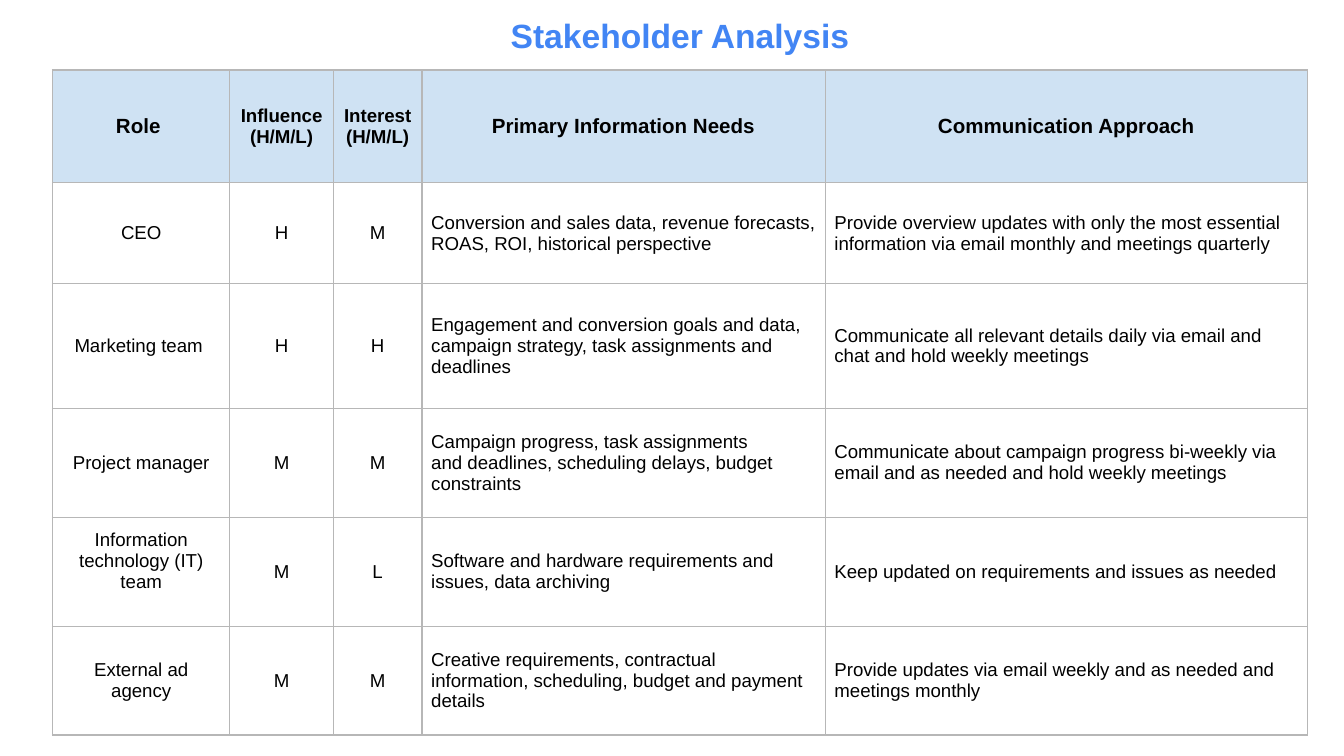
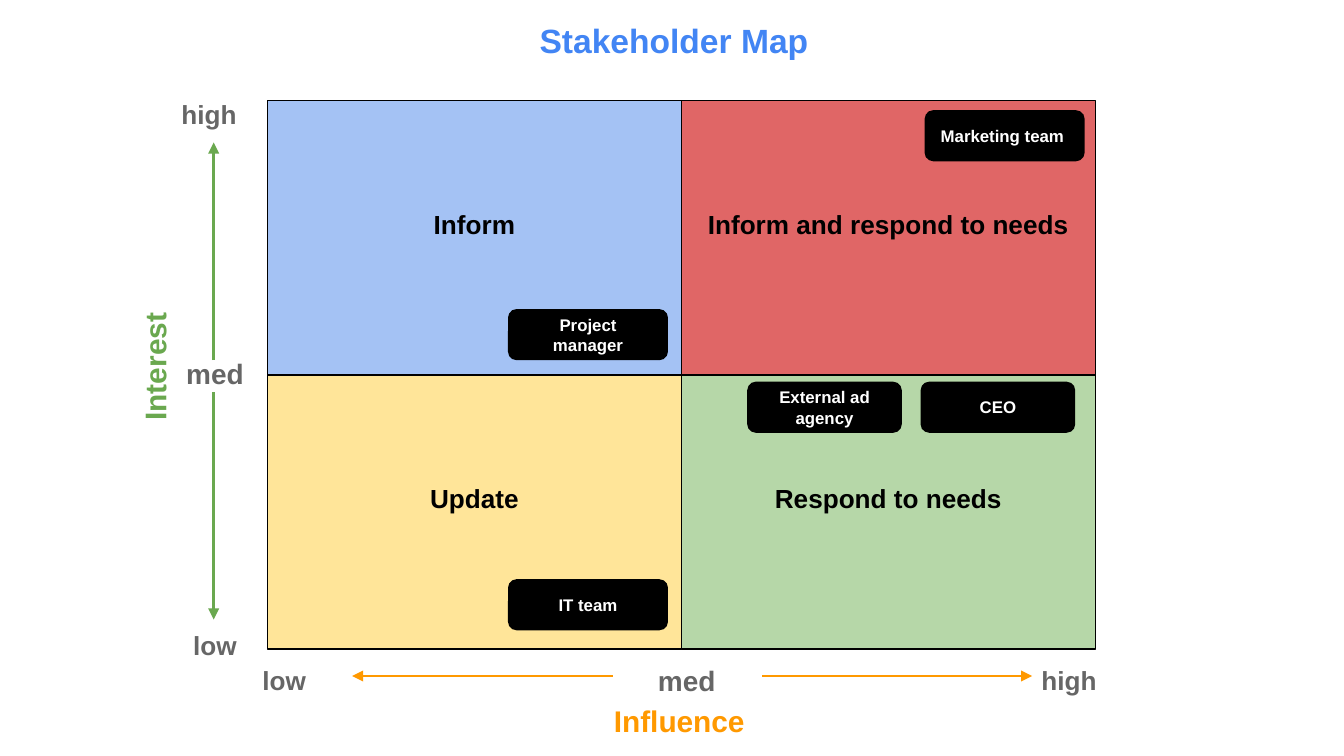
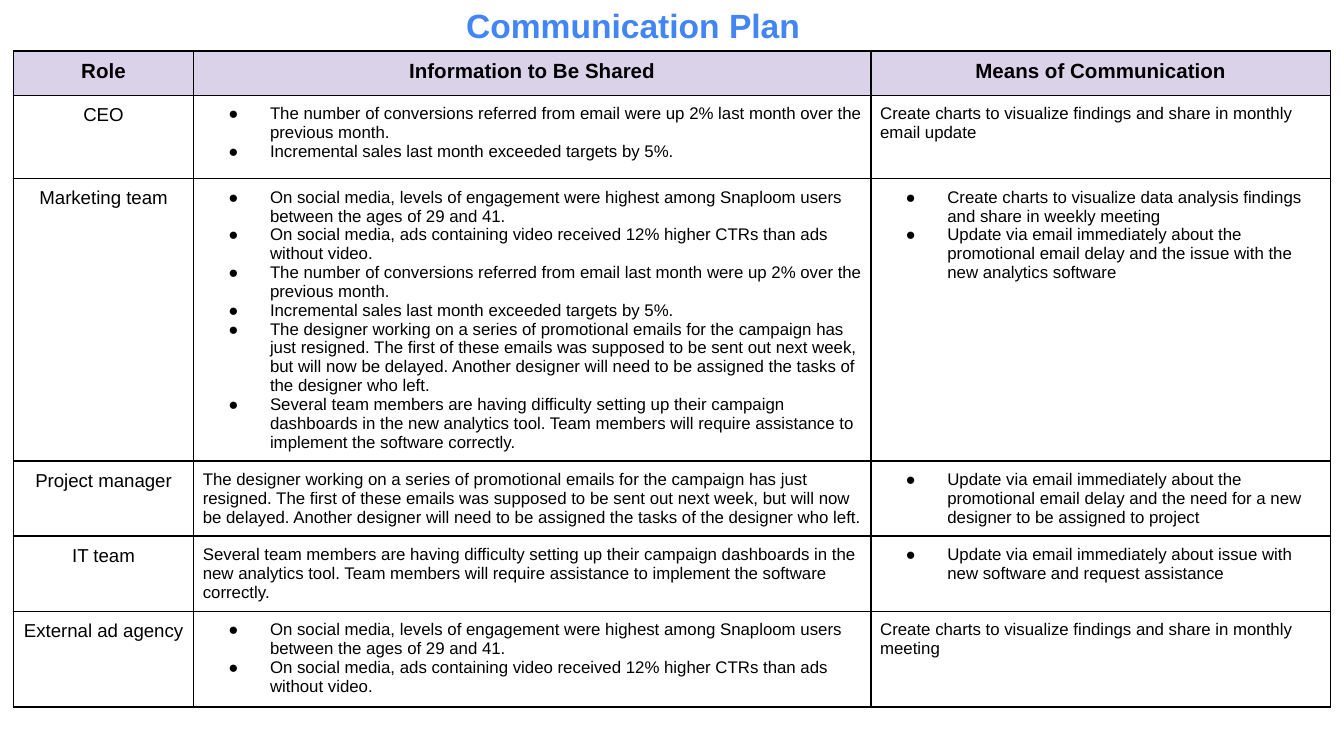
"""Build three slides on stakeholders: analysis table, map and communication plan."""
from lxml.etree import SubElement
from pptx import Presentation
from pptx.dml.color import RGBColor
from pptx.enum.shapes import MSO_CONNECTOR, MSO_SHAPE
from pptx.enum.text import MSO_ANCHOR, PP_ALIGN
from pptx.oxml.ns import qn
from pptx.util import Inches, Pt

FONT = "Arial"
BLACK, WHITE, GRAY = "000000", "FFFFFF", "666666"
BLUE, GREEN, ORANGE = "4285F4", "6AA84F", "FF9900"
LEFT, MID, RIGHT = PP_ALIGN.LEFT, PP_ALIGN.CENTER, PP_ALIGN.RIGHT

NEEDS = [
    ("Role ", "Influence (H/M/L)", "Interest (H/M/L)", "Primary Information Needs",
     "Communication Approach"),
    ("CEO", "H", "M",
     "Conversion and sales data, revenue forecasts, ROAS, ROI, historical perspective",
     "Provide overview updates with only the most essential information via email monthly "
     "and meetings quarterly"),
    ("Marketing team ", "H", "H",
     "Engagement and conversion goals and data, campaign strategy, task assignments and "
     "deadlines",
     "Communicate all relevant details daily via email and chat and hold weekly meetings"),
    ("Project manager", "M", "M",
     "Campaign progress, task assignments\nand deadlines, scheduling delays, budget "
     "constraints",
     "Communicate about campaign progress bi-weekly via email and as needed and hold "
     "weekly meetings "),
    ("Information technology (IT)\nteam", "M", "L",
     "Software and hardware requirements and issues, data archiving",
     "Keep updated on requirements and issues as needed "),
    ("External ad agency", "M", "M",
     "Creative requirements, contractual information, scheduling, budget and payment "
     "details",
     "Provide updates via email weekly and as needed and meetings monthly"),
]

SOCIAL = [
    "On social media, levels of engagement were highest among Snaploom users between the "
    "ages of 29 and 41.",
    "On social media, ads containing video received 12% higher CTRs than ads without video.",
]
SALES = "Incremental sales last month exceeded targets by 5%."
STAFF = ("The designer working on a series of promotional emails for the campaign has just "
         "resigned. The first of these emails was supposed to be sent out next week, but will "
         "now be delayed. Another designer will need to be assigned the tasks of the designer "
         "who left.")
TOOL = ("Several team members are having difficulty setting up their campaign dashboards in "
        "the new analytics tool. Team members will require assistance to implement the "
        "software correctly.")
CHARTS = "Create charts to visualize findings and share in monthly "
UPDATE = "Update via email immediately about "

PLAN = [
    ("Role", "Information to Be Shared", "Means of Communication"),
    ("CEO",
     ["The number of conversions referred from email were up 2% last month over the previous "
      "month.", SALES],
     CHARTS + "email update"),
    ("Marketing team",
     SOCIAL + ["The number of conversions referred from email last month were up 2% over the "
               "previous month.", SALES, STAFF, TOOL],
     ["Create charts to visualize data analysis findings and share in weekly meeting",
      UPDATE + "the promotional email delay and the issue with the new analytics software"]),
    ("Project manager", STAFF,
     [UPDATE + "the promotional email delay and the need for a new designer to be assigned to "
      "project"]),
    ("IT team", TOOL, [UPDATE + "issue with new software and request assistance"]),
    ("External ad agency", SOCIAL, CHARTS + "meeting"),
]

QUADS = [("Inform", "A4C2F4"), ("Inform and respond to needs", "E06666"),
         ("Update", "FFE599"), ("Respond to needs", "B6D7A8")]
PILLS = [("Marketing team ", 6.88, 0.82, 1.19), ("IT team", 3.78, 4.31, 1.19),
         ("CEO", 6.85, 2.84, 1.15), ("Project manager", 3.78, 2.3, 1.19),
         ("External ad agency", 5.56, 2.84, 1.15)]
LABELS = [
    ("high", (0.53, 0.63, 1.33, 0.26), 14, GRAY, RIGHT),
    ("low", (0.53, 4.58, 1.33, 0.26), 14, GRAY, RIGHT),
    ("med", (1.05, 2.55, 1.1, 0.38), 15, GRAY, MID),
    ("low", (1.61, 4.84, 1.01, 0.38), 14, GRAY, MID),
    ("med", (4.56, 4.84, 1.1, 0.38), 15, GRAY, MID),
    ("high", (7.45, 4.84, 1.01, 0.38), 14, GRAY, MID),
    ("Influence", (4.39, 5.13, 1.33, 0.47), 16, ORANGE, MID),
]
ARROWS = [((1.59, 2.68), (1.59, 1.06), GREEN), ((1.59, 2.92), (1.59, 4.61), GREEN),
          ((5.67, 5.03), (7.68, 5.03), ORANGE), ((4.56, 5.03), (2.62, 5.03), ORANGE)]


def color(code):
    return RGBColor.from_string(code)


def style(frame, text, size, tint, align, bold=True):
    frame.text = text
    frame.word_wrap = True
    for para in frame.paragraphs:
        para.alignment = align
        for run in para.runs:
            font = run.font
            font.name, font.size, font.bold = FONT, Pt(size), bold
            font.color.rgb = color(tint)


def inset(item, side, top):
    item.margin_left = item.margin_right = side
    item.margin_top = item.margin_bottom = top


def label(slide, text, box, size, tint, align, anchor=MSO_ANCHOR.TOP):
    shape = slide.shapes.add_textbox(*map(Inches, box))
    frame = shape.text_frame
    style(frame, text, size, tint, align)
    inset(frame, Inches(0.1), Inches(0.1))
    frame.vertical_anchor = anchor
    return shape


def title(slide, text, box, align=MID):
    return label(slide, text, box, 18, BLUE, align)


def block(slide, kind, text, box, fill, size, tint, anchor):
    shape = slide.shapes.add_shape(kind, *map(Inches, box))
    shape.shadow.inherit = False
    shape.fill.solid()
    shape.fill.fore_color.rgb = color(fill)
    frame = shape.text_frame
    style(frame, text, size, tint, MID)
    inset(frame, Inches(0.1), Inches(0.1))
    frame.vertical_anchor = anchor
    return shape


def arrow(slide, start, end, tint):
    line = slide.shapes.add_connector(MSO_CONNECTOR.STRAIGHT, *map(Inches, start + end))
    line.line.color.rgb = color(tint)
    line.line.width = Pt(1.5)
    props = line._element.spPr
    SubElement(props.find(qn("a:ln")), qn("a:tailEnd"), type="triangle")
    SubElement(props, qn("a:effectLst"))


def border(cell, tint, width):
    props = cell._tc.get_or_add_tcPr()
    for spot, side in enumerate(("lnL", "lnR", "lnT", "lnB")):
        edge = SubElement(props, qn("a:" + side), w=str(Pt(width)))
        SubElement(SubElement(edge, qn("a:solidFill")), qn("a:srgbClr"), val=tint)
        props.insert(spot, edge)


def bullet(para):
    props = para._p.get_or_add_pPr()
    props.set("marL", str(Inches(0.5)))
    props.set("indent", str(Inches(-0.31)))
    SubElement(SubElement(props, qn("a:buClr")), qn("a:srgbClr"), val=BLACK)
    SubElement(props, qn("a:buFont"), typeface=FONT)
    SubElement(props, qn("a:buChar"), char="●")


def grid(slide, data, spot, cols, rows, head, sizes, mids, edge, pad, anchor):
    box = (*spot, sum(cols), sum(rows))
    table = slide.shapes.add_table(len(rows), len(cols), *map(Inches, box)).table
    table.first_row = table.horz_banding = False
    for col, width in zip(table.columns, cols):
        col.width = Inches(width)
    for row, height in zip(table.rows, rows):
        row.height = Inches(height)
    for r, line in enumerate(data):
        for c, text in enumerate(line):
            cell = table.cell(r, c)
            top = r == 0
            listed = isinstance(text, list)
            style(cell.text_frame, "\n".join(text) if listed else text,
                  sizes[top][c], BLACK, MID if top or c < mids else LEFT, top)
            if listed:
                for para in cell.text_frame.paragraphs:
                    bullet(para)
            inset(cell, Pt(5), pad)
            cell.vertical_anchor = anchor
            if top:
                cell.fill.solid()
                cell.fill.fore_color.rgb = color(head)
            else:
                cell.fill.background()
            border(cell, *edge)
    return table


def needs(slide):
    table = grid(slide, NEEDS, (0.39, 0.52), (1.32, 0.77, 0.66, 3, 3.59),
                 (0.84, 0.75, 0.93, 0.81, 0.81, 0.81), "CFE2F3",
                 ((10,) * 5, (11, 10, 10, 11, 11)), 3, ("B7B7B7", 0.75), Inches(0.05),
                 MSO_ANCHOR.MIDDLE)
    table.cell(4, 0).margin_bottom = Inches(0.21)
    title(slide, "Stakeholder Analysis",
          (1.01, -0.03, 8.1, 0.5)).text_frame.paragraphs[0].line_spacing = 1.15


def chart(slide):
    wide, high = 3.08, 2.04
    for i, (text, fill) in enumerate(QUADS):
        row, col = divmod(i, 2)
        box = (1.99 + col * wide, 0.75 + row * high, wide, high)
        quad = block(slide, MSO_SHAPE.RECTANGLE, text, box, fill, 14, BLACK, MSO_ANCHOR.TOP)
        quad.text_frame.margin_top = Inches(0.8)
        quad.line.color.rgb = color(BLACK)
        quad.line.width = Pt(0.75)
    for item in ARROWS:
        arrow(slide, *item)
    title(slide, "Stakeholder Map ", (2.75, 0.05, 4.6, 0.49))
    for text, left, top, width in PILLS:
        pill = block(slide, MSO_SHAPE.ROUNDED_RECTANGLE, text, (left, top, width, 0.38),
                     BLACK, 9, WHITE, MSO_ANCHOR.MIDDLE)
        pill.line.fill.background()
    for item in LABELS:
        label(slide, *item)
    label(slide, "Interest", (0.63, 2.62, 1.04, 0.26), 16, GREEN, RIGHT,
          MSO_ANCHOR.MIDDLE).rotation = 270


def plan(slide):
    grid(slide, PLAN, (0.1, 0.38), (1.34, 5.04, 3.42),
         (0.33, 0.62, 1.85, 0.54, 0.45, 0.71), "D9D2E9", ((10, 9, 9), (11,) * 3), 1,
         (BLACK, 1), Pt(5), MSO_ANCHOR.TOP)
    title(slide, "Communication Plan ", (3.37, -0.06, 3.26, 0.74), LEFT)


deck = Presentation()
deck.slide_width = Inches(10)
deck.slide_height = deck.slide_width * 9 // 16
for build in (needs, chart, plan):
    build(deck.slides.add_slide(deck.slide_layouts[6]))
deck.save("out.pptx")
